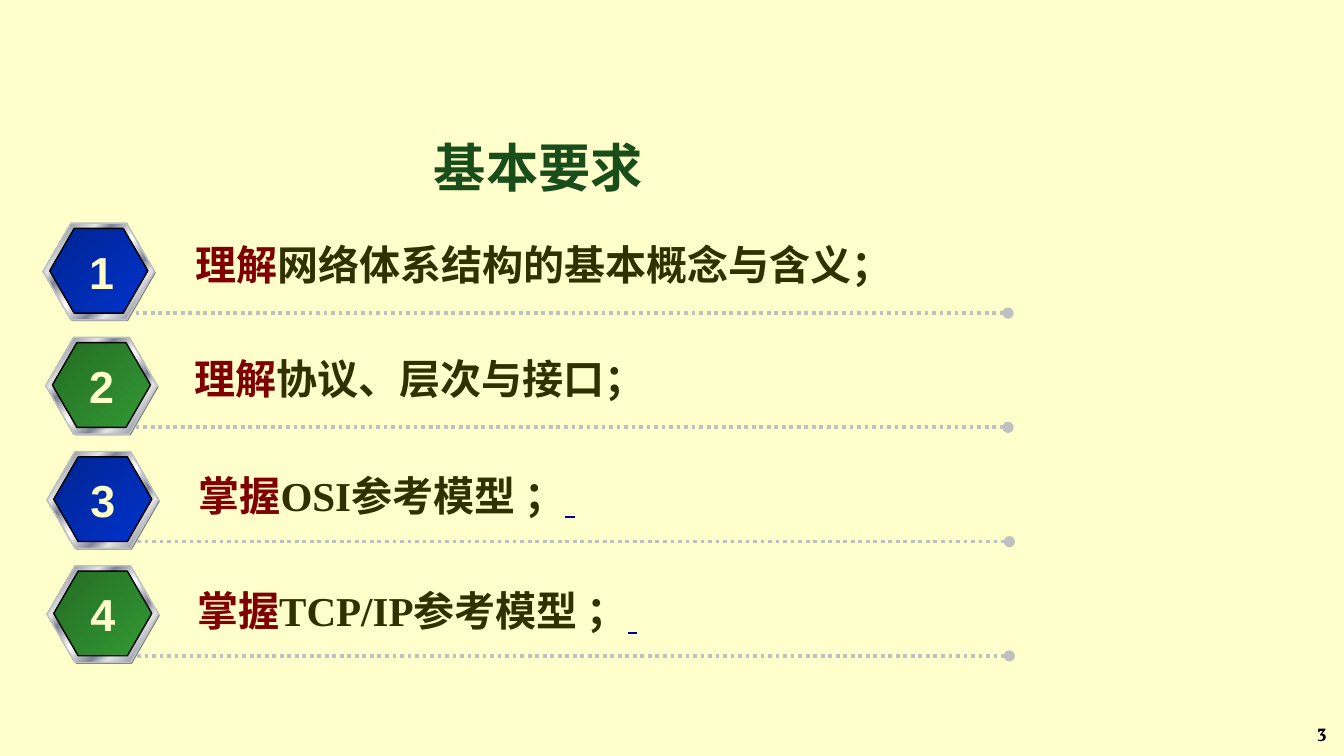
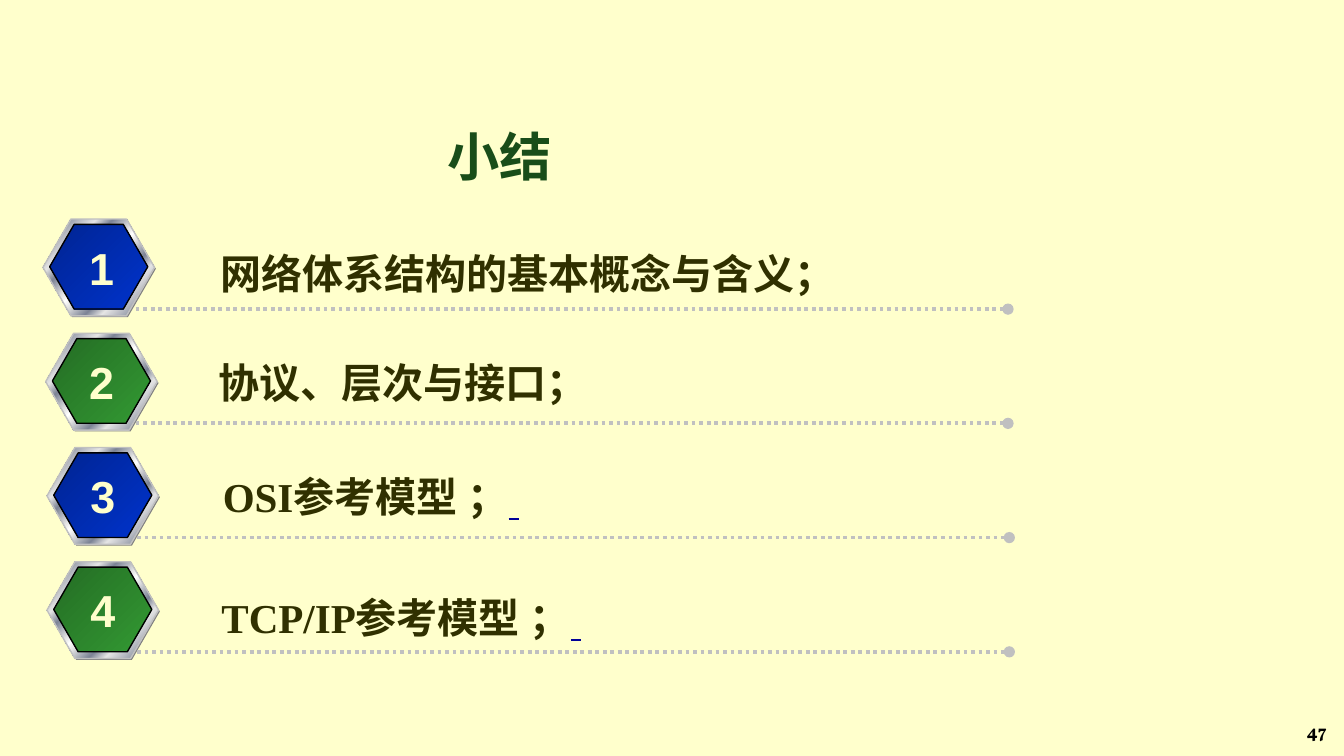
from lxml.etree import SubElement
from pptx import Presentation
from pptx.dml.color import RGBColor
from pptx.enum.dml import MSO_LINE
from pptx.enum.shapes import MSO_CONNECTOR, MSO_SHAPE
from pptx.enum.text import MSO_ANCHOR, MSO_AUTO_SIZE, PP_ALIGN
from pptx.oxml.ns import qn
from pptx.util import Inches, Pt

SLIDE_WIDTH = 10
SLIDE_HEIGHT = SLIDE_WIDTH * 9 / 16

CREAM, TITLE_GREEN, BLACK = "FFFFCC", "194D19", "000000"
VERB, TOPIC, LINK, SPACER = "800000", "303000", "000099", "008000"
SILVER, SHADOW = "C0C0C0", "808080"
SERIF, DISPLAY, SANS, CHINESE = "Times New Roman", "Vollkorn", "Arial", "Noto Sans CJK SC"

METAL = [(0, "E6E6E6"), (8, "7D8496"), (26, "E6E6E6"), (34, "7D8496"),
         (46, "E6E6E6"), (50, "FFFFFF"), (54, "E6E6E6"), (66, "7D8496"),
         (74, "E6E6E6"), (92, "7D8496"), (100, "E6E6E6")]
BLUE = [(0, "002492"), (100, "0033CC")]
GREEN = [(0, "246D24"), (100, "339933")]

ROW_PITCH = 0.85
BADGE_LEFTS = (0.32, 0.34, 0.35, 0.35)
RULE_LEFTS = (1.01, 1.01, 1.02, 1.02)
RULE_LENGTH = 6.49
LINK_END = (" ", LINK, {"underline": True})
LARGE_LINK_END = (" ", LINK, {"underline": True, "size": 24})
LARGE_GAP = (" ", LINK, {"size": 24})

# Each row: text box (left, top, width, height), wrapping, spans (text, colour, extras)
SLIDES = [
    {"number": "3", "title": "基本要求", "title_at": (0.49, 0.77), "first_badge": 1.66,
     "rows": [
         ((1.29, 1.73, 5.47, 0.47), False,
          [(" ", SPACER, {"name": DISPLAY}), ("理解", VERB),
           ("网络体系结构的基本概念与含义；", TOPIC)]),
         ((1.28, 2.58, 3.87, 0.47), False,
          [(" 理解", VERB), ("协议、层次与接口；", TOPIC)]),
         ((1.31, 3.45, 4.09, 0.47), True,
          [(" 掌握", VERB), ("OSI参考模型 ；", TOPIC), LINK_END]),
         ((1.30, 4.31, 3.92, 0.47), True,
          [(" 掌握", VERB), ("TCP/IP参考模型 ；", TOPIC), LINK_END]),
     ]},
    {"number": "47", "title": "小结", "title_at": (0.2, 0.69), "first_badge": 1.63,
     "rows": [
         ((1.54, 1.80, 4.78, 0.47), False,
          [("网络体系结构的基本概念与含义；", TOPIC)]),
         ((1.53, 2.53, 3.23, 0.57), False,
          [("协议、层次与接口；", TOPIC), (" ", BLACK, {"name": CHINESE, "size": 28})]),
         ((1.56, 3.43, 4.24, 0.50), True,
          [("OSI参考模型", TOPIC), LARGE_GAP, ("；", TOPIC), LARGE_LINK_END]),
         ((1.55, 4.33, 3.94, 0.50), True,
          [("TCP/IP参考模型", TOPIC), LARGE_GAP, ("；", TOPIC), LARGE_LINK_END]),
     ]},
]


def rgb(value):
    return RGBColor.from_string(value)


def set_font(font, name=None, size=None, color=None, bold=None, underline=None):
    if size:
        font.size = Pt(size)
    if color:
        font.color.rgb = rgb(color)
    if bold is not None:
        font.bold = bold
    if underline is not None:
        font.underline = underline
    if name:
        font.name = name
        SubElement(font._element, qn("a:ea"), typeface=CHINESE)


def add_text(page, at, spans, name, size, align=PP_ALIGN.LEFT,
             wrap=True, grow=False, anchor=MSO_ANCHOR.TOP):
    """Add a bold one-paragraph text box; spans are (text, colour[, font extras])."""
    box = page.shapes.add_textbox(*map(Inches, at))
    frame = box.text_frame
    frame.word_wrap = wrap
    frame.vertical_anchor = anchor
    frame.auto_size = MSO_AUTO_SIZE.SHAPE_TO_FIT_TEXT if grow else MSO_AUTO_SIZE.NONE
    para = frame.paragraphs[0]
    para.alignment = align
    set_font(para.font, name, size, bold=True)
    for text, color, *extras in spans:
        span = para.add_run()
        span.text = text
        set_font(span.font, color=color, **(extras[0] if extras else {}))


def fill_gradient(shape, stops):
    """Fill with a diagonal gradient of (percent, colour) stops."""
    shape.fill.gradient()
    shape.fill.gradient_angle = 315
    stop_list = shape._element.spPr.find(qn("a:gradFill")).find(qn("a:gsLst"))
    for old_stop in list(stop_list):
        stop_list.remove(old_stop)
    for percent, color in stops:
        stop = SubElement(stop_list, qn("a:gs"), pos=str(percent * 1000))
        SubElement(stop, qn("a:srgbClr"), val=color)


def add_hexagon(group, left, top, width, height, fill, outline=None):
    hexagon = group.shapes.add_shape(
        MSO_SHAPE.HEXAGON, *map(Inches, (left, top, width, height)))
    hexagon.shadow.inherit = False
    hexagon.adjustments[0] = 0.289
    hexagon.adjustments[1] = 1.155
    if isinstance(fill, str):
        hexagon.fill.solid()
        hexagon.fill.fore_color.rgb = rgb(fill)
    else:
        fill_gradient(hexagon, fill)
    if outline:
        hexagon.line.color.rgb = rgb(outline)
        hexagon.line.width = Pt(0.75)
    else:
        hexagon.line.fill.background()


def add_badge(page, left, top, core):
    group = page.shapes.add_group_shape()
    add_hexagon(group, left + 0.01, top + 0.01, 0.83, 0.72, SHADOW)
    add_hexagon(group, left, top, 0.83, 0.72, METAL, SILVER)
    add_hexagon(group, left + 0.05, top + 0.04, 0.73, 0.63, core, BLACK)


def add_rule(page, left, top):
    """Add a dotted line that ends in a dot."""
    rule = page.shapes.add_connector(
        MSO_CONNECTOR.STRAIGHT, *map(Inches, (left, top, left + RULE_LENGTH, top)))
    rule.line.color.rgb = rgb(SILVER)
    rule.line.width = Pt(2)
    rule.line.dash_style = MSO_LINE.ROUND_DOT
    SubElement(rule.line._get_or_add_ln(), qn("a:tailEnd"), type="oval")
    SubElement(rule._element.spPr, qn("a:effectLst"))


def add_row(page, index, top, row):
    at, wrap, spans = row
    add_badge(page, BADGE_LEFTS[index], top, (BLUE, GREEN)[index % 2])
    add_rule(page, RULE_LEFTS[index], top + 0.67)
    add_text(page, at, spans, SERIF, 22, wrap=wrap, grow=True)
    add_text(page, (RULE_LEFTS[index] - 0.45, top + 0.11, 0.39, 0.5),
             [(str(index + 1), CREAM)], SANS, 24,
             align=PP_ALIGN.CENTER, wrap=False, grow=True)


def add_page(deck, content):
    page = deck.slides.add_slide(deck.slide_layouts[6])
    page.background.fill.solid()
    page.background.fill.fore_color.rgb = rgb(CREAM)
    add_text(page, (6.8, 5.31, 3.17, 0.26), [(content["number"], BLACK)],
             DISPLAY, 10, align=PP_ALIGN.RIGHT)
    add_text(page, (*content["title_at"], 7.03, 0.94), [(content["title"], TITLE_GREEN)],
             DISPLAY, 28, align=PP_ALIGN.CENTER, anchor=MSO_ANCHOR.MIDDLE)
    for index, row in enumerate(content["rows"]):
        add_row(page, index, content["first_badge"] + index * ROW_PITCH, row)


def main():
    deck = Presentation()
    deck.slide_width, deck.slide_height = Inches(SLIDE_WIDTH), Inches(SLIDE_HEIGHT)
    for content in SLIDES:
        add_page(deck, content)
    deck.save("out.pptx")


if __name__ == "__main__":
    main()
